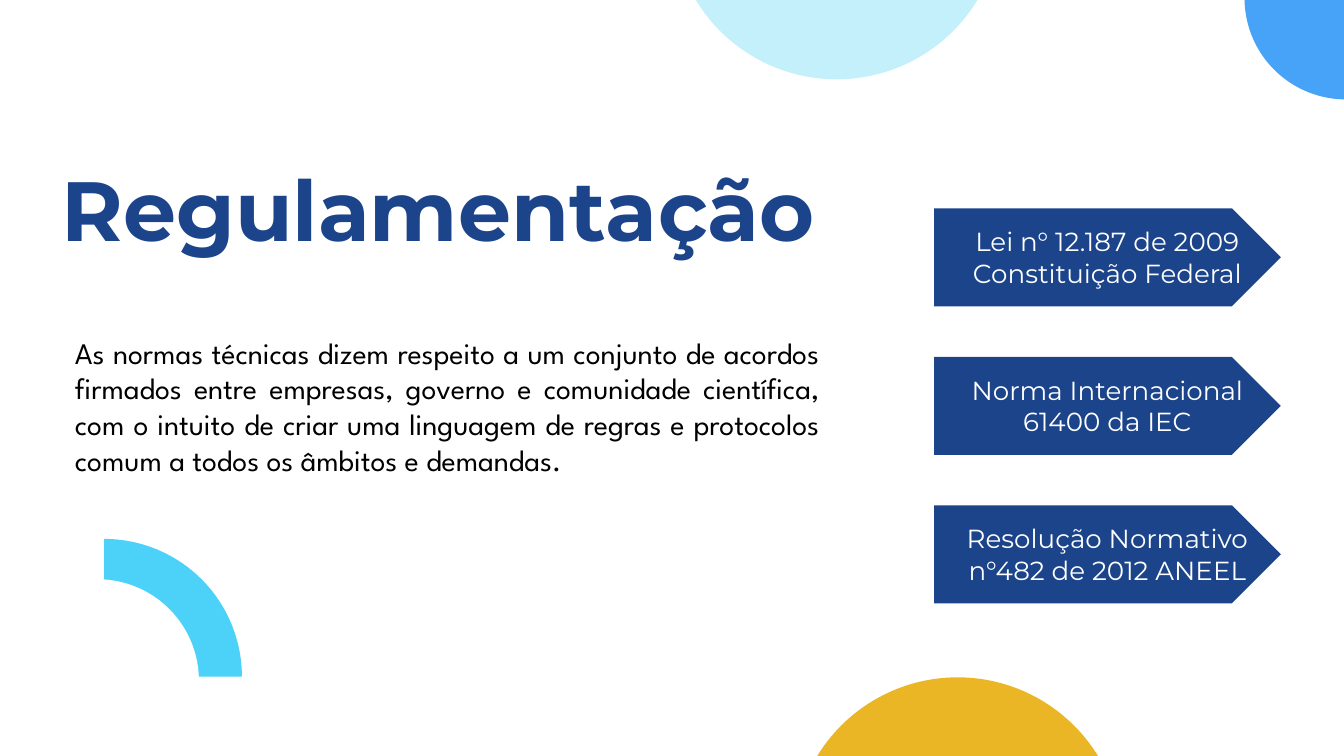
import pptx
import pptx.util
import pptx.dml.color
import pptx.enum.shapes
import pptx.enum.text
import pptx.oxml
import pptx.oxml.ns

Inches = pptx.util.Inches
KIND = pptx.enum.shapes.MSO_SHAPE
ALIGN = pptx.enum.text.PP_ALIGN
ANCHOR = pptx.enum.text.MSO_ANCHOR
NAVY, CYAN, BLUE, GOLD, WHITE = "1C448A", "4CD2F8", "47A3F7", "EAB625", "FFFFFF"


def paint(hue):
    return pptx.dml.color.RGBColor.from_string(hue)


def shape(slide, kind, box, hue, adjust=(), alpha=None):
    item = slide.shapes.add_shape(kind, *map(Inches, box))
    item.shadow.inherit = False
    item.fill.solid()
    item.fill.fore_color.rgb = paint(hue)
    item.line.fill.background()
    for i, value in enumerate(adjust):
        item.adjustments[i] = value
    if alpha:
        color = item.element.spPr.find(".//" + pptx.oxml.ns.qn("a:srgbClr"))
        color.append(pptx.oxml.parse_xml(
            f'<a:alpha {pptx.oxml.ns.nsdecls("a")} val="{alpha * 1000}"/>'))


def label(slide, box, text, size, face, hue, align, anchor, bold=False):
    frame = slide.shapes.add_textbox(*map(Inches, box)).text_frame
    frame.word_wrap = True
    frame.vertical_anchor = anchor
    frame.margin_left = frame.margin_right = Inches(0.1)
    frame.margin_top = frame.margin_bottom = Inches(0.1)
    frame.text = text
    para = frame.paragraphs[0]
    para.alignment = align
    font = para.runs[0].font
    font.size = pptx.util.Pt(size)
    font.name = face
    font.bold = bold
    font.color.rgb = paint(hue)


def decor(slide, width):
    disc, pie = 2.45, 1.51
    shape(slide, KIND.OVAL, (width - 4.1, 5.04, disc, disc), GOLD)
    shape(slide, KIND.OVAL, (width / 2, -1.86, disc, disc), CYAN, alpha=33)
    shape(slide, KIND.PIE, (width - 0.74, -0.77, pie, pie), BLUE, (54, 108))


def intro(slide, left, top):
    label(slide, (left, top, 5.94, 1.47), "Regulamentação", 45, "Montserrat",
          NAVY, ALIGN.LEFT, ANCHOR.MIDDLE, True)
    label(slide, (left + 0.1, top + 1.55, 5.74, 1.32),
          "As normas técnicas dizem respeito a um conjunto de acordos firmados "
          "entre empresas, governo e comunidade científica, com o intuito de criar "
          "uma linguagem de regras e protocolos comum a todos os âmbitos e demandas.",
          16, "League Spartan", "000000", ALIGN.JUSTIFY, ANCHOR.MIDDLE)


def arc(slide, left, top):
    quarter = (162, 0)
    shape(slide, KIND.PIE, (left, top, 2.05, 2.05), CYAN, quarter)
    shape(slide, KIND.PIE, (left + 0.22, top + 0.3, 1.51, 1.51), WHITE, quarter)


def rules(slide, box, texts):
    left, top, width, depth = box
    high, inset = 0.73, 0.03
    step = (depth - high) / (len(texts) - 1)
    for i, text in enumerate(texts):
        y = top + i * step
        shape(slide, KIND.PENTAGON, (left, y, width, high), NAVY, (0.5,))
        label(slide, (left, y + inset, width, high - 2 * inset), text, 14,
              "Montserrat", WHITE, ALIGN.CENTER, ANCHOR.TOP)


def main():
    deck = pptx.Presentation()
    width = 10
    deck.slide_width, deck.slide_height = Inches(width), Inches(width * 9 / 16)
    slide = deck.slides.add_slide(deck.slide_layouts[6])
    decor(slide, width)
    intro(slide, 0.36, 0.81)
    arc(slide, -0.25, 4.01)
    rules(slide, (6.95, 1.55, 2.58, 2.94), [
        "Lei n° 12.187 de 2009 Constituição Federal",
        "Norma Internacional 61400 da IEC",
        "Resolução Normativo n°482 de 2012 ANEEL",
    ])
    deck.save("out.pptx")


if __name__ == "__main__":
    main()
